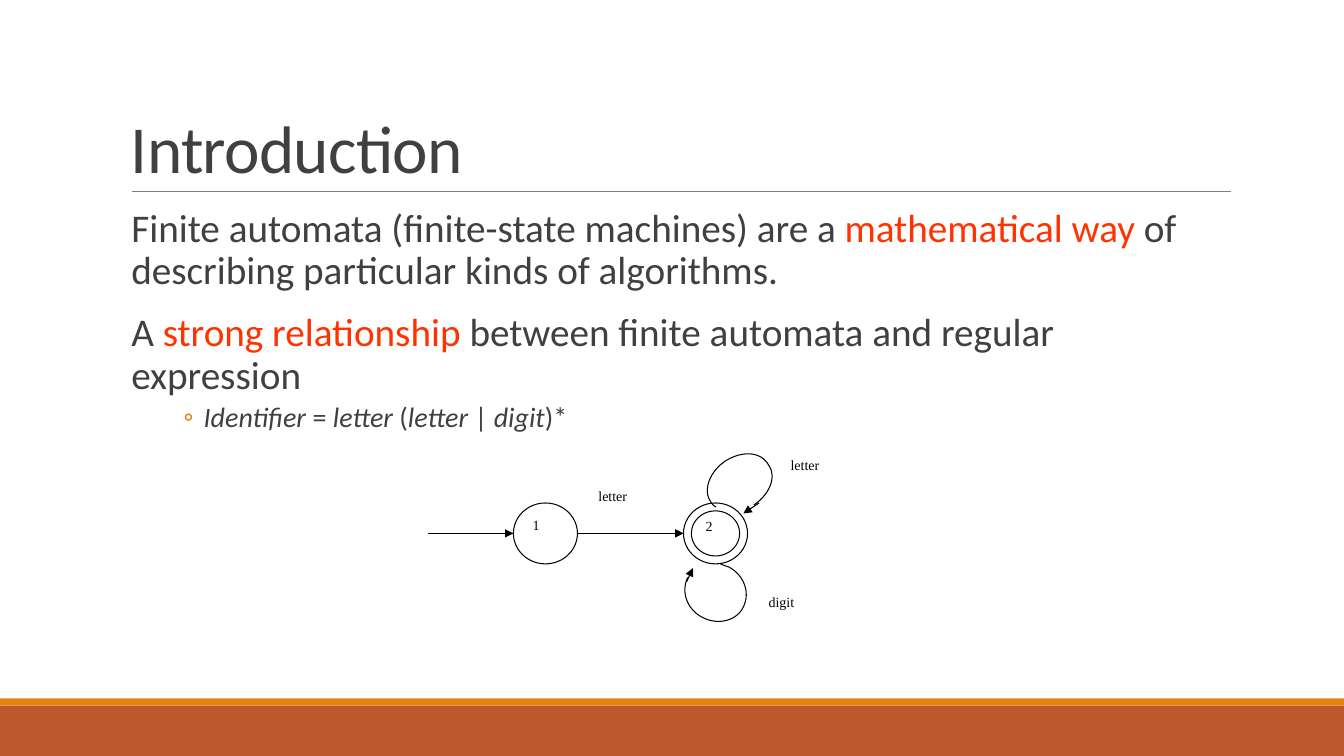
from dataclasses import dataclass
from typing import Optional

from lxml.etree import SubElement
from pptx import Presentation
from pptx.dml.color import RGBColor
from pptx.enum.shapes import MSO_CONNECTOR, MSO_SHAPE as Preset
from pptx.enum.text import MSO_ANCHOR as Anchor, MSO_AUTO_SIZE as AutoSize, PP_ALIGN as Align
from pptx.oxml.ns import qn
from pptx.util import Pt

EMU_PER_PX = 9525
WHITE = RGBColor(0xFF, 0xFF, 0xFF)
BLACK = RGBColor(0, 0, 0)
GRAY = RGBColor(0x80, 0x80, 0x80)
DARK = RGBColor(0x40, 0x40, 0x40)
RED = RGBColor(0xFF, 0x33, 0x00)
ORANGE = RGBColor(0xE4, 0x83, 0x12)
RUST = RGBColor(0xBD, 0x58, 0x2C)
BODY_FONT = "Calibri"
LABEL_FONT = "Times New Roman"
CURVE_STEPS = 16


def px(value: float) -> int:
    return round(value * EMU_PER_PX)


@dataclass
class Figure:
    left: int
    top: int
    width: int
    height: int
    fill: RGBColor = WHITE
    line: Optional[RGBColor] = WHITE
    text: str = ""
    preset: Preset = Preset.RECTANGLE
    padded: bool = False


@dataclass
class Line:
    start: tuple[int, int]
    end: tuple[int, int]
    color: RGBColor = BLACK
    weight: float = 0.75
    arrow: bool = True


@dataclass
class Phrase:
    text: str
    color: RGBColor = DARK
    italic: bool = False


@dataclass
class Item:
    phrases: list[Phrase]
    size: int = 28
    level: int = 0
    before: int = 12
    after: int = 2
    margin: int = 10
    indent: int = 0
    bullet: str = ""


BANDS = [
    Figure(0, 672, 1280, 48, RUST, None),
    Figure(0, 665, 1280, 7, ORANGE, None),
]
STATES = [
    Figure(489, 479, 61, 58, WHITE, BLACK, "1", Preset.OVAL, padded=True),
    Figure(651, 479, 61, 58, WHITE, BLACK, preset=Preset.DONUT),
]
LABELS = [
    Figure(672, 493, 20, 29, text="2"),
    Figure(570, 464, 61, 29, text="letter"),
    Figure(753, 435, 102, 43, text="letter"),
    Figure(732, 565, 81, 29, text="digit"),
]
LINES = [
    Line((126, 182), (1172, 182), GRAY, 0.5, arrow=False),
    Line((408, 508), (489, 508)),
    Line((550, 508), (651, 508)),
    Line((723, 479), (708, 489)),
    Line((654, 554), (660, 541)),
]
LOOPS = [
    [(682, 483), (680, 482), (678, 480), (677, 478), (669, 467), (676, 449), (691, 439),
     (707, 429), (725, 430), (732, 443), (740, 454), (733, 471), (718, 481)],
    [(686, 537), (688, 538), (691, 539), (694, 540), (708, 547), (715, 564), (708, 578),
     (702, 591), (684, 596), (669, 588), (655, 581), (648, 564), (655, 550)],
]
ITEMS = [
    Item([Phrase("Finite automata (finite-state machines) are a "),
          Phrase("mathematical way", RED),
          Phrase(" of describing particular kinds of algorithms.")]),
    Item([Phrase("A "), Phrase("strong relationship", RED),
          Phrase(" between finite automata and regular expression")]),
    Item([Phrase("Identifier", italic=True), Phrase(" ="), Phrase(" letter", italic=True),
          Phrase(" ("), Phrase("letter ", italic=True), Phrase("| "),
          Phrase("digit", italic=True), Phrase(")*")],
         size=20, level=3, before=2, after=4, margin=79, indent=-19, bullet="◦"),
]


def place(shape, left: int, top: int, width: int, height: int) -> None:
    shape.left, shape.top, shape.width, shape.height = map(px, (left, top, width, height))


def draw_figure(slide, figure: Figure):
    box = slide.shapes.add_shape(
        figure.preset, *map(px, (figure.left, figure.top, figure.width, figure.height)))
    box.shadow.inherit = False
    box.fill.solid()
    box.fill.fore_color.rgb = figure.fill
    if figure.line is None:
        box.line.fill.background()
    else:
        box.line.color.rgb = figure.line
        box.line.width = Pt(0.75)
    if figure.preset == Preset.DONUT:
        box.adjustments[0] = 0.13
    if figure.text:
        frame = box.text_frame
        frame.word_wrap = True
        frame.vertical_anchor = Anchor.TOP
        if not figure.padded:
            frame.margin_left = frame.margin_right = frame.margin_top = frame.margin_bottom = 0
        para = frame.paragraphs[0]
        para.text = figure.text
        para.alignment = Align.JUSTIFY
        para.font.name = LABEL_FONT
        para.font.size = Pt(10)
        para.font.color.rgb = BLACK


def draw_line(slide, line: Line) -> None:
    connector = slide.shapes.add_connector(
        MSO_CONNECTOR.STRAIGHT, *map(px, line.start + line.end))
    connector.line.color.rgb = line.color
    connector.line.width = Pt(line.weight)
    properties = connector._element.spPr
    if line.arrow:
        SubElement(properties.find(qn("a:ln")), qn("a:tailEnd"), type="triangle")
    SubElement(properties, qn("a:effectLst"))


def bezier(a: float, b: float, c: float, d: float, t: float) -> float:
    s = 1 - t
    return s**3 * a + 3 * s * s * t * b + 3 * s * t * t * c + t**3 * d


def draw_loop(slide, points: list[tuple[int, int]]) -> None:
    curve = [
        tuple(px(bezier(*axis, step / CURVE_STEPS)) for axis in zip(*points[first:first + 4]))
        for first in range(0, len(points) - 1, 3)
        for step in range(1, CURVE_STEPS + 1)
    ]
    builder = slide.shapes.build_freeform(*map(px, points[0]))
    builder.add_line_segments(curve, close=False)
    loop = builder.convert_to_shape()
    loop.shadow.inherit = False
    loop.fill.background()
    loop.line.color.rgb = BLACK
    loop.line.width = Pt(0.75)


def write_title(title) -> None:
    place(title, 115, 30, 1056, 153)
    frame = title.text_frame
    frame.auto_size = AutoSize.NONE
    frame.vertical_anchor = Anchor.BOTTOM
    para = frame.paragraphs[0]
    span = para.add_run()
    span.text = "Introduction"
    span._r.get_or_add_rPr().set("spc", "-50")
    para.alignment = Align.LEFT
    para.line_spacing = 0.85
    para.font.name = BODY_FONT
    para.font.size = Pt(48)
    para.font.color.rgb = DARK


def write_item(para, item: Item, first: bool) -> None:
    para.level = item.level
    properties = para._p.get_or_add_pPr()
    properties.set("marL", str(px(item.margin)))
    properties.set("indent", str(px(item.indent)))
    if item.bullet:
        color = SubElement(properties, qn("a:buClr"))
        SubElement(color, qn("a:srgbClr"), val=str(ORANGE))
        SubElement(properties, qn("a:buFont"), typeface=BODY_FONT)
        SubElement(properties, qn("a:buChar"), char=item.bullet)
    else:
        SubElement(properties, qn("a:buNone"))
    para.line_spacing = 0.9
    para.space_before = Pt(0 if first else item.before)
    para.space_after = Pt(item.after)
    para.font.name = BODY_FONT
    para.font.size = Pt(item.size)
    for phrase in item.phrases:
        span = para.add_run()
        span.text = phrase.text
        span.font.color.rgb = phrase.color
        span.font.italic = phrase.italic


def write_body(body) -> None:
    place(body, 115, 194, 1056, 436)
    frame = body.text_frame
    frame.auto_size = AutoSize.NONE
    frame.margin_left = frame.margin_right = 0
    for index, item in enumerate(ITEMS):
        para = frame.add_paragraph() if index else frame.paragraphs[0]
        write_item(para, item, first=index == 0)


def main() -> None:
    deck = Presentation()
    deck.slide_width, deck.slide_height = px(1280), px(720)
    page = deck.slides.add_slide(deck.slide_layouts[1])
    write_title(page.shapes.title)
    write_body(page.placeholders[1])
    for figure in BANDS + STATES + LABELS:
        draw_figure(page, figure)
    for line in LINES:
        draw_line(page, line)
    for points in LOOPS:
        draw_loop(page, points)
    deck.save("out.pptx")


if __name__ == "__main__":
    main()
